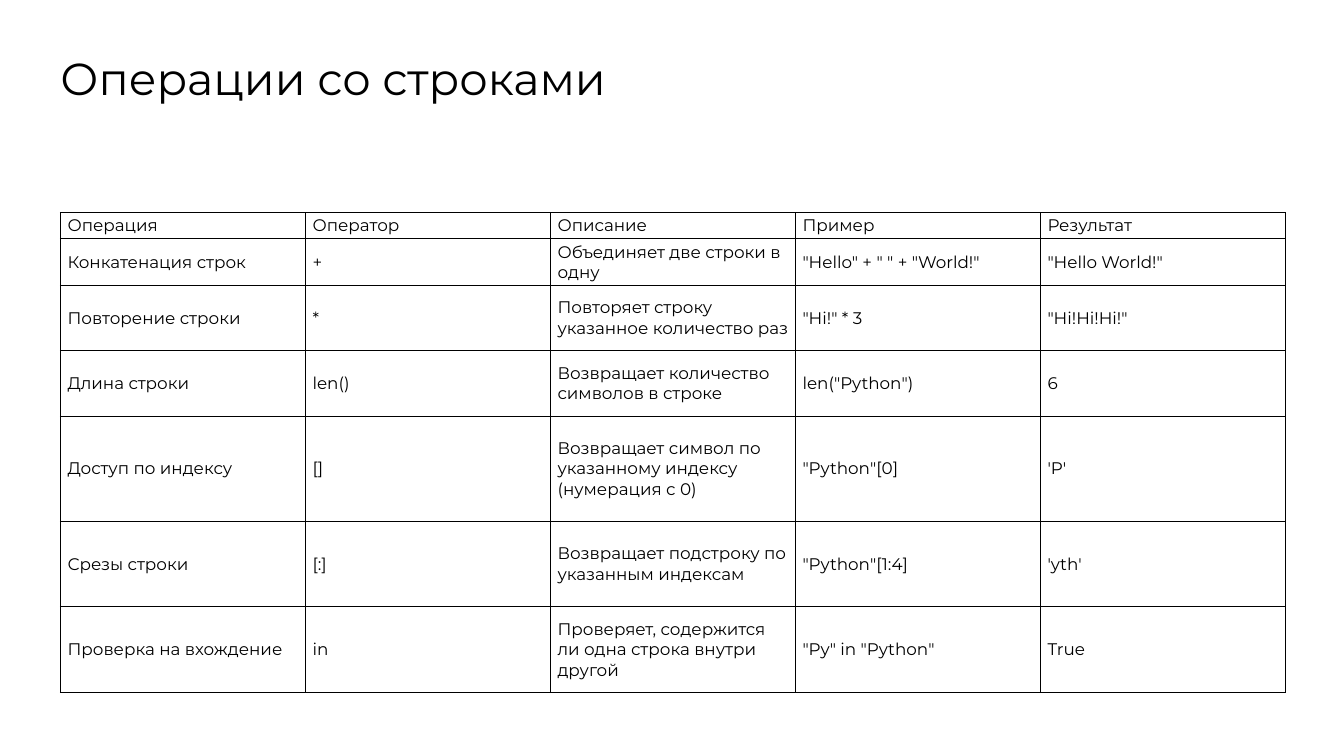
from pptx import Presentation
from pptx import util as u
from pptx.dml.color import RGBColor
from pptx.enum import text
from pptx.oxml import parse_xml
from pptx.oxml.ns import nsdecls

INK = "000000"
COL_W = 2.43
ROW_H = [0.26, 0.46, 0.65, 0.65, 1.04, 0.85, 0.85]
ROWS = [
    ["Операция", "Оператор", "Описание", "Пример", "Результат"],
    ["Конкатенация строк", "+", "Объединяет две строки в одну",
     '"Hello" + " " + "World!"', '"Hello World!"'],
    ["Повторение строки", "*", "Повторяет строку указанное количество раз",
     '"Hi!" * 3', '"Hi!Hi!Hi!"'],
    ["Длина строки", "len()", "Возвращает количество символов в строке",
     'len("Python")', "6"],
    ["Доступ по индексу", "[]",
     "Возвращает символ по указанному индексу (нумерация с 0)",
     '"Python"[0]', "'P'"],
    ["Срезы строки", "[:]", "Возвращает подстроку по указанным индексам",
     '"Python"[1:4]', "'yth'"],
    ["Проверка на вхождение", "in",
     "Проверяет, содержится ли одна строка внутри другой",
     '"Py" in "Python"', "True"],
]
CELL = {"vertical_anchor": text.MSO_ANCHOR.MIDDLE,
        "margin_left": u.Inches(0.07), "margin_right": u.Inches(0.07),
        "margin_top": u.Inches(0.03), "margin_bottom": u.Inches(0.03)}


def write(p, words, size):
    r = p.add_run()
    r.text = words
    p.alignment = text.PP_ALIGN.LEFT
    for name, value in {"name": "Montserrat", "size": u.Pt(size), "bold": False}.items():
        setattr(r.font, name, value)
    r.font.color.rgb = RGBColor.from_string(INK)


def add_borders(cell):
    tc_pr = cell._tc.get_or_add_tcPr()
    for i, side in enumerate(["lnL", "lnR", "lnT", "lnB"]):
        tc_pr.insert(i, parse_xml(
            f'<a:{side} {nsdecls("a")} w="{u.Pt(1)}"><a:solidFill>'
            f'<a:srgbClr val="{INK}"/></a:solidFill></a:{side}>'))


prs = Presentation()
prs.slide_width, prs.slide_height = u.Inches(13.33), u.Inches(7.5)
s = prs.slides.add_slide(prs.slide_layouts[5])

title = s.shapes.title
for name, value in {"left": 0.5, "top": 0.45, "width": 6.67, "height": 0.64}.items():
    setattr(title, name, u.Inches(value))
tf = title.text_frame
tf.word_wrap = True
tf.auto_size = text.MSO_AUTO_SIZE.SHAPE_TO_FIT_TEXT
tf.vertical_anchor = text.MSO_ANCHOR.TOP
write(tf.paragraphs[0], "Операции со строками", 32)

table = s.shapes.add_table(
    len(ROWS), len(ROWS[0]), u.Inches(0.6), u.Inches(2.11),
    u.Inches(COL_W * len(ROWS[0])), u.Inches(sum(ROW_H))).table
table.first_row = table.horz_banding = False
for column in table.columns:
    column.width = u.Inches(COL_W)
for row, height, words in zip(table.rows, ROW_H, ROWS):
    row.height = u.Inches(height)
    for cell, word in zip(row.cells, words):
        for name, value in CELL.items():
            setattr(cell, name, value)
        cell.fill.background()
        add_borders(cell)
        write(cell.text_frame.paragraphs[0], word, 12)

prs.save("out.pptx")
